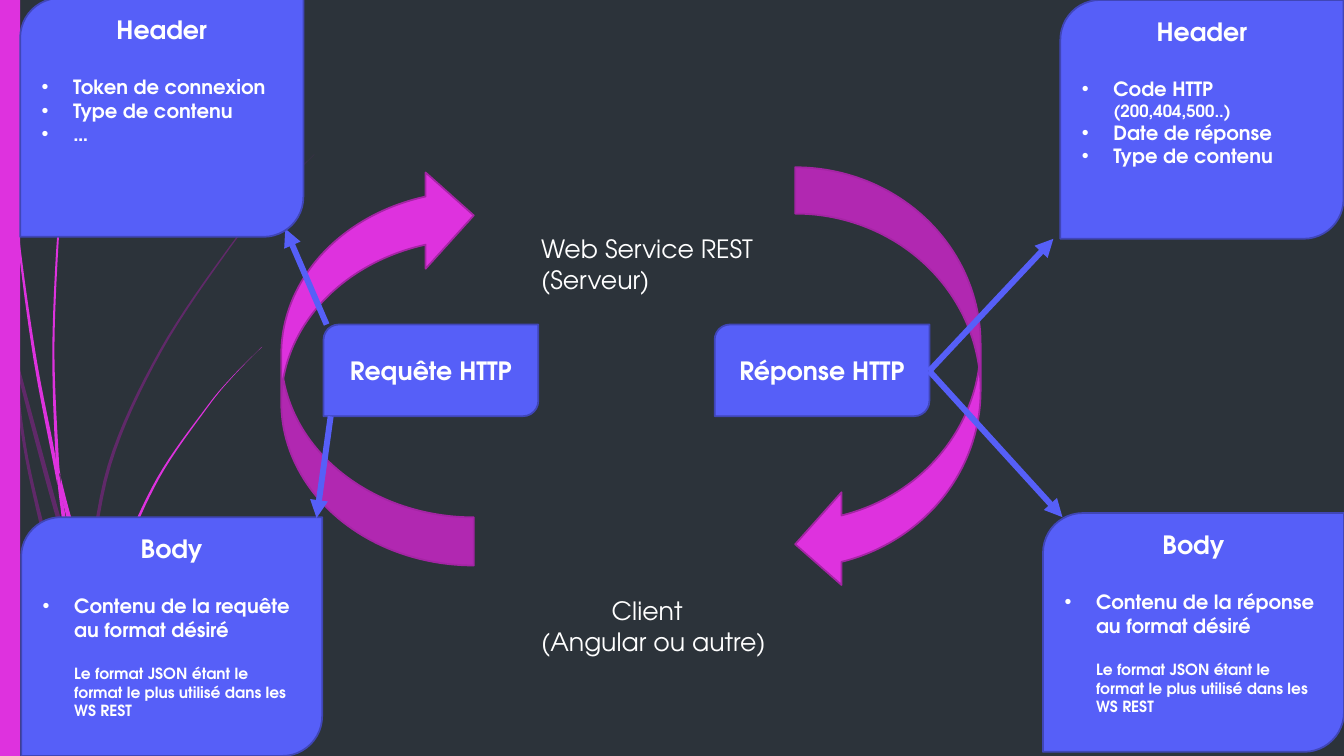
from lxml.etree import SubElement
from pptx import Presentation
from pptx.dml.color import RGBColor
from pptx.enum.shapes import MSO_CONNECTOR, MSO_SHAPE
from pptx.enum.text import MSO_ANCHOR, PP_ALIGN
from pptx.oxml.ns import qn
from pptx.util import Pt

BLUE, BLUE_EDGE = "565FF8", "4046B7"
PINK, PINK_EDGE, PURPLE = "DE32DE", "A425A4", "B01CB0"
WHITE, NIGHT = "FFFFFF", "2C333A"
STEPS = 8

# Strand knots from end to end: left edge, top, horizontal thickness
PURPLE_STRANDS = [
    [(10.1, 248.4, 0), (13.7, 271, 2.5), (41.8, 376, 3.2), (60.5, 427, 1)],
    [(7.9, 252, 0), (10.1, 271, 2), (20.2, 338.4, 2.3), (46.8, 447, 3.8),
     (66.2, 499, 2), (72.7, 514, 0)],
    [(61.2, 420.5, 2.2), (77, 332, 2.4), (113.8, 250.6, 1.9),
     (164.2, 175.7, 1.2), (193, 141.8, 0.6), (224.6, 110.2, 0)],
]
PINK_STRANDS = [
    [(2.2, 0, 0.7), (5, 79.2, 0.7), (12.2, 167.8, 1.4), (23.8, 255.6, 2.2),
     (37.1, 326, 2.5), (41, 346.3, 0)],
    [(43.2, 339.8, 0), (46.1, 363.6, 3.1), (63.4, 426.2, 3.4), (76.3, 464.4, 0)],
    [(41, 343.4, 0), (43.4, 363.6, 2.6), (49, 401, 2.9), (67, 474.5, 3.4),
     (84.2, 519.8, 0)],
    [(50.4, 101.5, 0), (44.6, 139, 0.7), (40.3, 176.4, 1.4), (37.4, 251.3, 1.5),
     (39.6, 323.3, 2.2), (43.2, 339.8, 0)],
    [(39.6, 323.3, 0), (41, 343.4, 2.1), (46.1, 363.6, 0)],
    [(76.3, 454.3, 3.2), (87.8, 396.7, 2.2), (112.3, 341.3, 1.7),
     (146.9, 291.6, 1), (166.3, 268.6, 0.5), (187.2, 247.7, 0)],
]


def color(value):
    return RGBColor.from_string(value)


def smooth_knots(knots):
    """Catmull-Rom samples through all knots."""
    padded = [knots[0], *knots, knots[-1]]
    samples = []
    for four in zip(padded, padded[1:], padded[2:], padded[3:]):
        for step in range(STEPS):
            t = step / STEPS
            samples.append([
                b + t * (c - a) / 2 + t * t * (2 * a - 5 * b + 4 * c - d) / 2
                + t ** 3 * (3 * b - a - 3 * c + d) / 2
                for a, b, c, d in zip(*four)])
    return samples + [knots[-1]]


class Deck:
    def __init__(self):
        self.prs = Presentation()
        self.prs.slide_width, self.prs.slide_height = Pt(960), Pt(540)
        self.slide = self.prs.slides.add_slide(self.prs.slide_layouts[6])
        self.font = "TeX Gyre Adventor"
        self.edge_width = Pt(1.25)
        fill = self.slide.background.fill
        fill.solid()
        fill.fore_color.rgb = color(NIGHT)

    def paint(self, s, fill, edge=None):
        s.shadow.inherit = False
        s.fill.solid()
        s.fill.fore_color.rgb = color(fill)
        if edge:
            s.line.color.rgb = color(edge)
            s.line.width = self.edge_width
        else:
            s.line.fill.background()
        return s

    def shape(self, kind, box, fill, edge=None):
        s = self.slide.shapes.add_shape(kind, *map(Pt, box))
        return self.paint(s, fill, edge)

    def strand(self, knots, fill, opacity=100):
        samples = smooth_knots(knots)
        left = [(Pt(x), Pt(y)) for x, y, w in samples]
        right = [(Pt(x + w), Pt(y)) for x, y, w in reversed(samples)]
        builder = self.slide.shapes.build_freeform(*left[0], scale=1.0)
        builder.add_line_segments(left[1:] + right, close=True)
        s = self.paint(builder.convert_to_shape(), fill)
        if opacity < 100:
            srgb = s.element.spPr.find(".//" + qn("a:srgbClr"))
            SubElement(srgb, qn("a:alpha"), val=str(opacity * 1000))

    def paragraph(self, tf, text, size=18, bold=True, align=PP_ALIGN.LEFT,
                  before=0, indent=0, bullet=False):
        p = tf.paragraphs[0]
        if p.runs:
            p = tf.add_paragraph()
        pPr = p._p.get_or_add_pPr()
        if indent:
            pPr.set("marL", str(Pt(indent)))
        if bullet:
            pPr.set("indent", str(-Pt(indent)))
            SubElement(pPr, qn("a:buFont"), typeface="Arial")
            SubElement(pPr, qn("a:buChar"), char="•")
        p.alignment, p.space_before = align, Pt(before)
        self.run(p, text, size, bold)
        return p

    def run(self, p, text, size, bold=True):
        r = p.add_run()
        r.text = text
        for name, value in {"name": self.font, "size": Pt(size), "bold": bold}.items():
            setattr(r.font, name, value)
        r.font.color.rgb = color(WHITE)

    def label(self, box, lines):
        tf = self.slide.shapes.add_textbox(*map(Pt, box)).text_frame
        tf.word_wrap = True
        for text, indent in lines:
            self.paragraph(tf, text, bold=False, indent=indent)

    def card(self, box, title, bullets=(), note=None):
        s = self.shape(MSO_SHAPE.ROUND_2_DIAG_RECTANGLE, box, BLUE, BLUE_EDGE)
        tf = s.text_frame
        tf.word_wrap = True
        tf.vertical_anchor = MSO_ANCHOR.TOP if bullets else MSO_ANCHOR.MIDDLE
        self.paragraph(tf, title, align=PP_ALIGN.CENTER)
        for i, (text, *detail) in enumerate(bullets):
            p = self.paragraph(tf, text, 14, before=0 if i else 21.5,
                               indent=22.5, bullet=True)
            for extra in detail:
                p.add_line_break()
                self.run(p, extra, 12)
        if note:
            self.paragraph(tf, note, 11, before=16.5, indent=22.5)

    def arrow(self, start, end):
        s = self.slide.shapes.add_connector(
            MSO_CONNECTOR.STRAIGHT, *map(Pt, (*start, *end)))
        s.line.color.rgb = color(BLUE)
        s.line.width = Pt(4.25)
        SubElement(s.line._get_or_add_ln(), qn("a:tailEnd"), type="triangle")
        SubElement(s.element.spPr, qn("a:effectLst"))


def main():
    deck = Deck()

    # Decorative strands and side bar
    for knots in PURPLE_STRANDS:
        deck.strand(knots, PURPLE, 40)
    for knots in PINK_STRANDS:
        deck.strand(knots, PINK)
    deck.shape(MSO_SHAPE.RECTANGLE, (0, 0, 14.4, 540), PINK)

    # Server and client
    deck.label((379.4, 163.4, 168, 51), [("Web Service REST", 0), ("(Serveur)", 0)])
    deck.label((379.4, 422, 177, 51), [("Client", 50.5), ("(Angular ou autre)", 0)])

    # Request and response cycle
    deck.shape(MSO_SHAPE.CURVED_LEFT_ARROW, (568, 119.5, 132.5, 302.4), PINK, PINK_EDGE)
    request_arc = deck.shape(MSO_SHAPE.CURVED_RIGHT_ARROW, (200.9, 119.5, 137.5, 284.4),
                             PINK, PINK_EDGE)
    request_arc.element.spPr.xfrm.set("flipV", "1")
    deck.card((510.5, 231.8, 153.4, 65.5), "Réponse HTTP")
    deck.card((231.1, 231.8, 153.4, 65.5), "Requête HTTP")

    # Arrows to the message parts
    deck.arrow((663.8, 265), (752.4, 170.6))
    deck.arrow((663.8, 265), (758.9, 369.4))
    deck.arrow((233.3, 231.8), (203.8, 163.4))

    # Message parts
    deck.card((757.4, 0, 202.3, 170.6), "Header",
              [("Code HTTP", "(200,404,500..)"), ("Date de réponse",),
               ("Type de contenu",)])
    deck.card((14.4, -1.4, 202.3, 170.6), "Header",
              [("Token de connexion",), ("Type de contenu",), ("…",)])
    for left, top, message in ((745, 366.5, "réponse"), (15.1, 369.4, "requête")):
        deck.card((left, top, 215, 170.6), "Body",
                  [(f"Contenu de la {message} au format désiré",)],
                  "Le format JSON étant le format le plus utilisé dans les WS REST")
    deck.arrow((236.2, 297.4), (226.1, 370))

    deck.prs.save("out.pptx")


if __name__ == "__main__":
    main()
